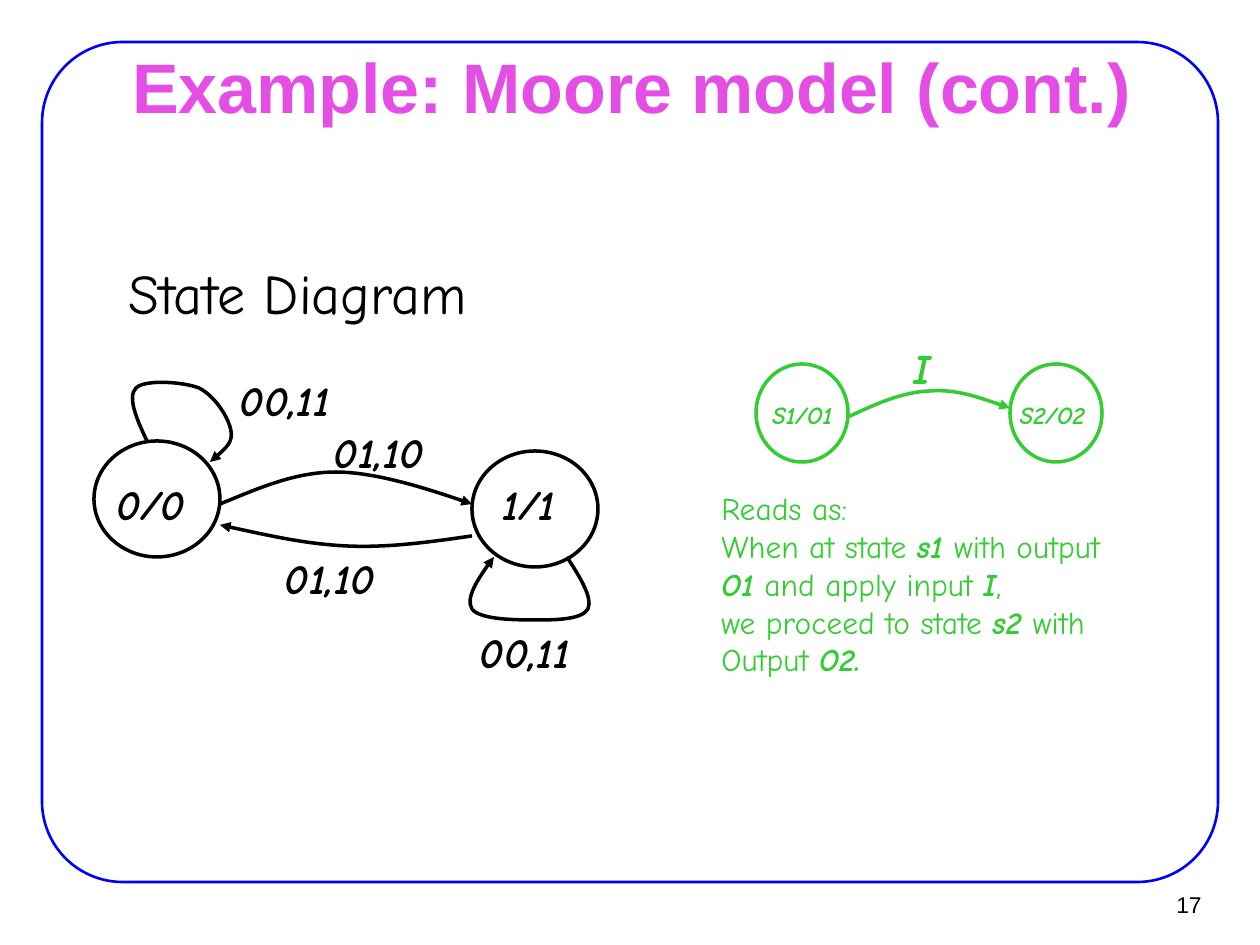
from dataclasses import dataclass

import pptx
import pptx.dml.color
import pptx.enum.shapes
import pptx.enum.text
import pptx.oxml
import pptx.oxml.ns
import pptx.util

EMU_PER_PX = 914400 / 126

BLUE = pptx.dml.color.RGBColor(0x00, 0x00, 0xFF)
PINK = pptx.dml.color.RGBColor(0xE4, 0x4E, 0xE4)
GREEN = pptx.dml.color.RGBColor(0x33, 0xCC, 0x33)
BLACK = pptx.dml.color.RGBColor(0x00, 0x00, 0x00)

HEADING_FONT = "Arial"
BODY_FONT = "Comic Neue"

SHAPES = pptx.enum.shapes.MSO_SHAPE
ALIGN = pptx.enum.text.PP_ALIGN
ANCHOR = pptx.enum.text.MSO_ANCHOR
AUTO_SIZE = pptx.enum.text.MSO_AUTO_SIZE

Box = tuple[int, int, int, int]
Point = tuple[int, int]


@dataclass(frozen=True)
class State:
    circle: Box
    label: str
    label_box: Box
    label_size: int
    color: pptx.dml.color.RGBColor


@dataclass(frozen=True)
class Transition:
    """A start point followed by three Bézier points per curve segment."""

    points: list[Point]
    label: str
    label_box: Box
    color: pptx.dml.color.RGBColor


STATES = [
    State((756, 364, 92, 98), "S1/O1", (750, 394, 105, 42), 14, GREEN),
    State((1010, 364, 92, 98), "S2/O2", (1000, 394, 105, 42), 14, GREEN),
    State((94, 441, 126, 116), "0/0", (102, 472, 98, 72), 24, BLACK),
    State((472, 451, 126, 116), "1/1", (480, 472, 98, 72), 24, BLACK),
]

TRANSITIONS = [
    Transition(
        [(848, 417), (876, 404), (902, 392), (930, 391),
         (956, 389), (983, 399), (1010, 408)],
        "I", (898, 336, 48, 63), GREEN),
    Transition(
        [(147, 441), (137, 420), (127, 397), (136, 388),
         (145, 379), (184, 382), (199, 388),
         (215, 396), (229, 418), (231, 431),
         (233, 442), (222, 452), (210, 462)],
        "00,11", (212, 368, 146, 72), BLACK),
    Transition(
        [(220, 504), (257, 489), (294, 472), (336, 472),
         (378, 472), (449, 496), (472, 504)],
        "01,10", (306, 420, 146, 72), BLACK),
    Transition(
        [(472, 536), (431, 542), (388, 548), (346, 546),
         (305, 544), (262, 534), (220, 525)],
        "01,10", (257, 546, 146, 72), BLACK),
    Transition(
        [(567, 557), (580, 577), (593, 598), (588, 609),
         (582, 620), (554, 620), (536, 620),
         (517, 620), (480, 620), (472, 609),
         (465, 598), (486, 567), (494, 557)],
        "00,11", (452, 620, 146, 72), BLACK),
]

EXPLANATION = [
    "Reads as:",
    "When at state *s1 *with output",
    "*O1* and apply input *I*,",
    "we proceed to state *s2 *with",
    "Output *O2.*",
]


def px(length: int) -> pptx.util.Emu:
    return pptx.util.Emu(round(length * EMU_PER_PX))


def write(frame, lines: list[str], *, size: int, color, font: str = BODY_FONT,
          align=ALIGN.LEFT, anchor=ANCHOR.TOP, bold: bool = False,
          wrap: bool = False, auto_size=AUTO_SIZE.SHAPE_TO_FIT_TEXT) -> None:
    """Fill a text frame; words between asterisks become bold italic."""
    frame.word_wrap = wrap
    frame.auto_size = auto_size
    frame.vertical_anchor = anchor
    for index, line in enumerate(lines):
        paragraph = frame.paragraphs[0] if index == 0 else frame.add_paragraph()
        paragraph.alignment = align
        for part, words in enumerate(line.split("*")):
            if not words:
                continue
            emphasised = part % 2 == 1
            run = paragraph.add_run()
            run.text = words
            run.font.name = font
            run.font.size = pptx.util.Pt(size)
            run.font.color.rgb = color
            run.font.bold = bold or emphasised
            run.font.italic = emphasised


def add_text(slide, box: Box, lines: list[str], **text_format) -> None:
    textbox = slide.shapes.add_textbox(*map(px, box))
    write(textbox.text_frame, lines, **text_format)


def outline(shape, color, width: float) -> None:
    shape.shadow.inherit = False
    shape.fill.background()
    shape.line.color.rgb = color
    shape.line.width = pptx.util.Pt(width)


def add_frame(slide) -> None:
    frame = slide.shapes.add_shape(
        SHAPES.ROUNDED_RECTANGLE, *map(px, (42, 42, 1176, 840)))
    frame.adjustments[0] = 0.096
    outline(frame, BLUE, 1.5)


def add_title(slide) -> None:
    title = slide.shapes.title
    title.left, title.top, title.width, title.height = map(px, (96, 55, 1071, 62))
    write(title.text_frame, ["Example: Moore model (cont.)"], size=40, color=PINK,
          font=HEADING_FONT, bold=True, align=ALIGN.CENTER, anchor=ANCHOR.MIDDLE,
          wrap=True, auto_size=AUTO_SIZE.NONE)


def add_state(slide, state: State) -> None:
    circle = slide.shapes.add_shape(SHAPES.OVAL, *map(px, state.circle))
    outline(circle, state.color, 2)
    add_text(slide, state.label_box, [f"*{state.label}*"], size=state.label_size,
             color=state.color, align=ALIGN.CENTER)


def bend(curve) -> None:
    """Turn each three straight segments into one cubic Bézier segment."""
    qn = pptx.oxml.ns.qn
    segments = list(curve.element.iter(qn("a:lnTo")))
    for first in range(0, len(segments), 3):
        bezier = pptx.oxml.parse_xml(
            f"<a:cubicBezTo {pptx.oxml.ns.nsdecls('a')}/>")
        segments[first].addprevious(bezier)
        for segment in segments[first:first + 3]:
            bezier.append(segment.find(qn("a:pt")))
            segment.getparent().remove(segment)


def add_transition(slide, transition: Transition) -> None:
    start, *rest = [(px(x), px(y)) for x, y in transition.points]
    builder = slide.shapes.build_freeform(*start)
    builder.add_line_segments(rest, close=False)
    curve = builder.convert_to_shape()
    bend(curve)
    outline(curve, transition.color, 2)
    curve.line._get_or_add_ln().append(pptx.oxml.parse_xml(
        f"<a:tailEnd {pptx.oxml.ns.nsdecls('a')} type=\"triangle\"/>"))
    add_text(slide, transition.label_box, [f"*{transition.label}*"], size=24,
             color=transition.color, align=ALIGN.CENTER)


def main() -> None:
    presentation = pptx.Presentation()
    presentation.slide_width, presentation.slide_height = px(1260), px(945)
    slide = presentation.slides.add_slide(
        presentation.slide_layouts.get_by_name("Title Only"))

    add_frame(slide)
    add_text(slide, (1137, 881, 77, 47), ["17"], size=13, color=BLACK,
             font=HEADING_FONT, align=ALIGN.RIGHT, anchor=ANCHOR.MIDDLE,
             auto_size=AUTO_SIZE.NONE)
    add_title(slide)
    add_text(slide, (116, 252, 504, 91), ["State Diagram"], size=32, color=BLACK,
             wrap=True)
    for state in STATES:
        add_state(slide, state)
    for transition in TRANSITIONS:
        add_transition(slide, transition)
    add_text(slide, (709, 483, 465, 239), EXPLANATION, size=18, color=GREEN)

    presentation.save("out.pptx")


if __name__ == "__main__":
    main()
